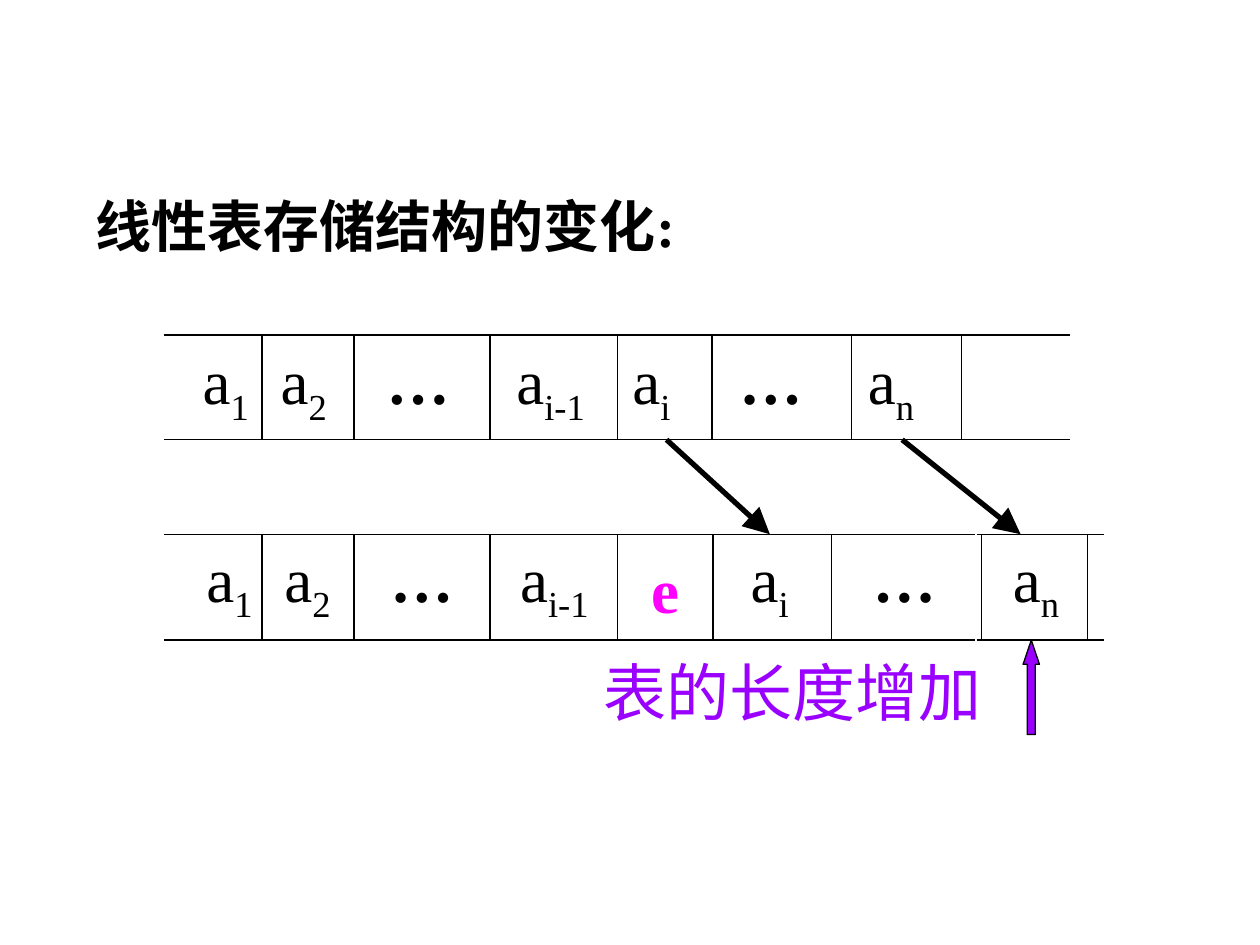
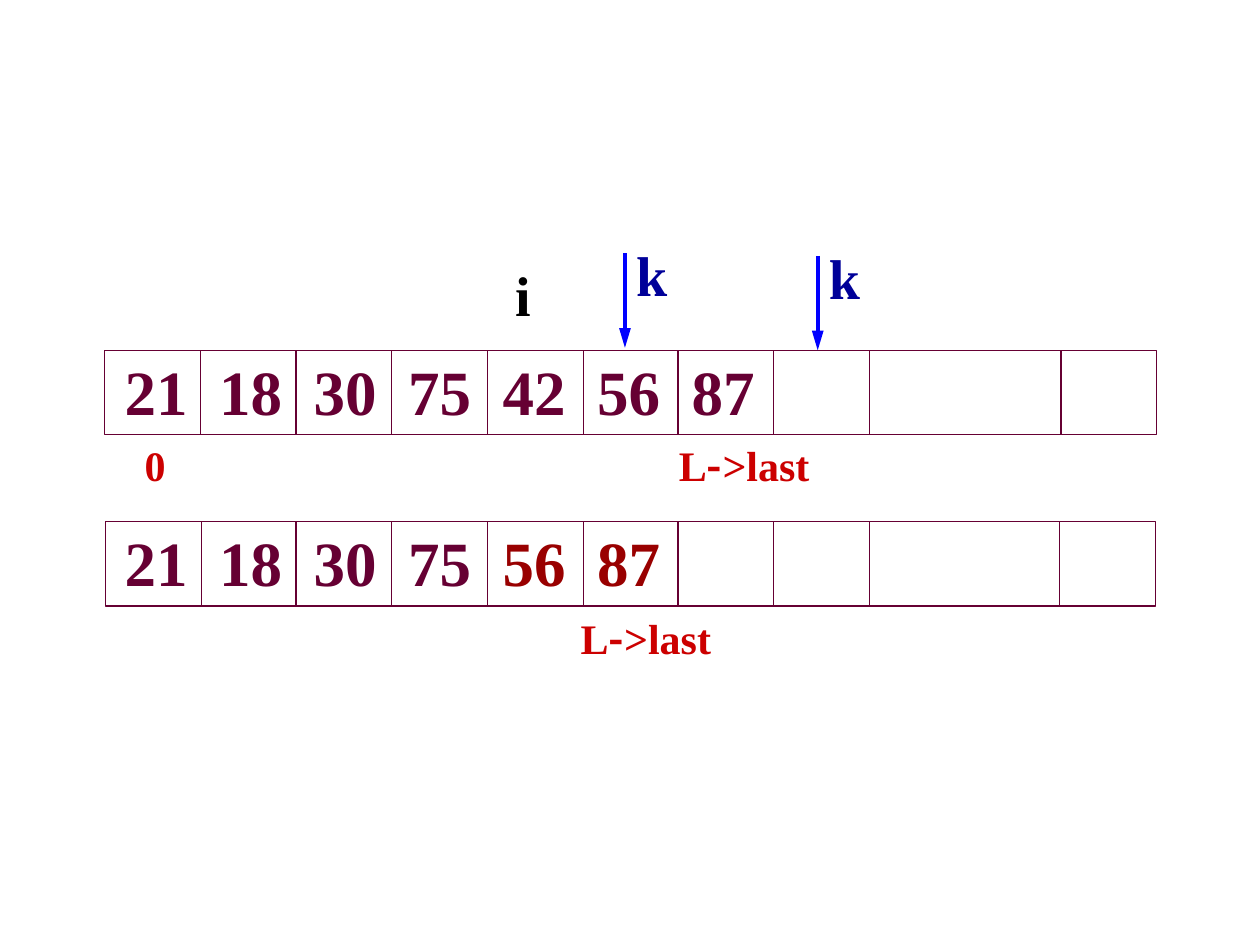
import pptx
import pptx.util
import pptx.dml.color
import pptx.enum.shapes
import pptx.enum.text
import pptx.oxml.ns
import lxml.etree

PX = 9144  # 100 px to the inch
LATIN, CJK = "Times New Roman", "Noto Sans CJK SC"
BLACK, MAGENTA, VIOLET = "000000", "FF00FF", "9900FF"
PLUM, DARK_RED, RED = "660033", "990000", "CC0000"
BLUE, NAVY = "0000FF", "000099"
colour = pptx.dml.color.RGBColor.from_string
qn = pptx.oxml.ns.qn
shape_kind = pptx.enum.shapes.MSO_SHAPE


def write(box, parts, size, hex_colour, bold=False):
    """Fill a box with runs; a part that starts with _ is a subscript."""
    frame = box.text_frame
    frame.word_wrap = True
    frame.vertical_anchor = pptx.enum.text.MSO_ANCHOR.TOP
    paragraph = frame.paragraphs[0]
    paragraph.alignment = pptx.enum.text.PP_ALIGN.LEFT
    for part in parts:
        run = paragraph.add_run()
        run.text = part.lstrip("_")
        run.font.size = pptx.util.Pt(size)
        run.font.bold = bold
        run.font.color.rgb = colour(hex_colour)
        run.font.name = CJK if part == "-" else LATIN
        properties = run.font._element
        lxml.etree.SubElement(properties, qn("a:ea")).set("typeface", CJK)
        if part.startswith("_"):
            properties.set("baseline", "-25000")


def draw_line(slide, x1, y1, x2, y2, hex_colour, points=0.75, head_width=None):
    line = slide.shapes.add_connector(
        pptx.enum.shapes.MSO_CONNECTOR.STRAIGHT, x1 * PX, y1 * PX, x2 * PX, y2 * PX)
    line.line.color.rgb = colour(hex_colour)
    line.line.width = pptx.util.Pt(points)
    if head_width:
        head = lxml.etree.SubElement(line.line._get_or_add_ln(), qn("a:tailEnd"))
        for key, value in (("type", "triangle"), ("w", head_width), ("len", "lg")):
            head.set(key, value)
    lxml.etree.SubElement(line._element.spPr, qn("a:effectLst"))


deck = pptx.Presentation()
deck.slide_width, deck.slide_height = 1000 * PX, 750 * PX

# Slide 1: insertion into a sequential list
insertion = deck.slides.add_slide(deck.slide_layouts[5])
title = insertion.shapes.title
title.left, title.top, title.width, title.height = 66 * PX, 147 * PX, 836 * PX, 64 * PX
write(title, ["线性表存储结构的变化:"], 32, BLACK, True)

# Rows before and after: top, bottom, horizontal spans, dividers
rows = [
    (266, 349, [(130, 849)], [208, 281, 389, 490, 565, 676, 763]),
    (424, 508, [(130, 774), (775, 876)], [208, 281, 389, 490, 566, 660, 779, 863]),
]
for top, bottom, spans, dividers in rows:
    for start, end in spans:
        for y in (top, bottom):
            draw_line(insertion, start, y, end, y, BLACK)
    for x in dividers:
        draw_line(insertion, x, top, x, bottom, BLACK)

# Elements: top of the row, then left edge and text of each
elements = [
    (266, [(151, "a _1"), (213, "a _2"), (297, "…"), (400, "a _i-1"),
           (492, "a _i"), (577, "…"), (679, "a _n")]),
    (423, [(154, "a _1"), (216, "a _2"), (300, "…"), (403, "a _i-1"),
           (586, "a _i"), (683, "…"), (794, "a _n")]),
]
for top, items in elements:
    for left, text in items:
        box = insertion.shapes.add_textbox(left * PX, top * PX, 100 * PX, 79 * PX)
        write(box, text.split(), 36, BLACK, text == "…")

new_element = insertion.shapes.add_textbox(507 * PX, 432 * PX, 54 * PX, 70 * PX)
write(new_element, ["e"], 36, MAGENTA, True)

# Moves of the elements to their new places
draw_line(insertion, 529, 349, 611, 424, BLACK, 3, "lg")
draw_line(insertion, 716, 349, 810, 424, BLACK, 3, "lg")

# Longer list
caption = insertion.shapes.add_textbox(469 * PX, 514 * PX, 335 * PX, 70 * PX)
write(caption, ["表的长度增加"], 36, VIOLET)
new_end = insertion.shapes.add_shape(
    shape_kind.UP_ARROW, 812 * PX, 508 * PX, 13 * PX, 75 * PX)
new_end.adjustments[0], new_end.adjustments[1] = 0.5, 1.48
new_end.shadow.inherit = False
new_end.fill.solid()
new_end.fill.fore_color.rgb = colour(VIOLET)
new_end.line.color.rgb = colour(BLACK)
new_end.line.width = pptx.util.Pt(0.75)

# Slide 2: deletion from an array
deletion = deck.slides.add_slide(deck.slide_layouts[6])

# Arrays: left, top, width, values, number of unmoved values
arrays = [
    (83, 278, 835, [21, 18, 30, 75, 42, 56, 87], 7),
    (84, 414, 833, [21, 18, 30, 75, 56, 87], 4),
]
for left, top, width, values, unmoved in arrays:
    array = deletion.shapes.add_shape(
        shape_kind.RECTANGLE, left * PX, top * PX, width * PX, 67 * PX)
    array.shadow.inherit = False
    array.fill.background()
    array.line.color.rgb = colour(PLUM)
    array.line.width = pptx.util.Pt(0.75)
    for cell in (1, 2, 3, 4, 5, 6, 7, 8, 10):
        x = left + round(cell * width / 11)
        draw_line(deletion, x, top, x, top + 67, PLUM)
    for index, value in enumerate(values):
        box = deletion.shapes.add_textbox(
            (89 + 75 * index) * PX, (top - 3) * PX, 80 * PX, 70 * PX)
        write(box, [str(value)], 36, PLUM if index < unmoved else DARK_RED, True)

# Index marks: left, top, width, runs, size, colour
marks = [
    (399, 202, 40, ["i"], 32, BLACK),
    (495, 186, 50, ["k"], 32, NAVY),
    (648, 188, 50, ["k"], 32, NAVY),
    (105, 344, 40, ["0"], 24, RED),
    (529, 344, 159, ["L", "-", ">last"], 24, RED),
    (451, 481, 159, ["L", "-", ">last"], 24, RED),
]
for left, top, width, parts, size, hex_colour in marks:
    box = deletion.shapes.add_textbox(left * PX, top * PX, width * PX, 2 * size * PX)
    write(box, parts, size, hex_colour, True)

# Arrows of the moving index k
for x, top in ((496, 201), (649, 203)):
    draw_line(deletion, x, top, x, top + 75, BLUE, 2.25, "med")

deck.save("out.pptx")
